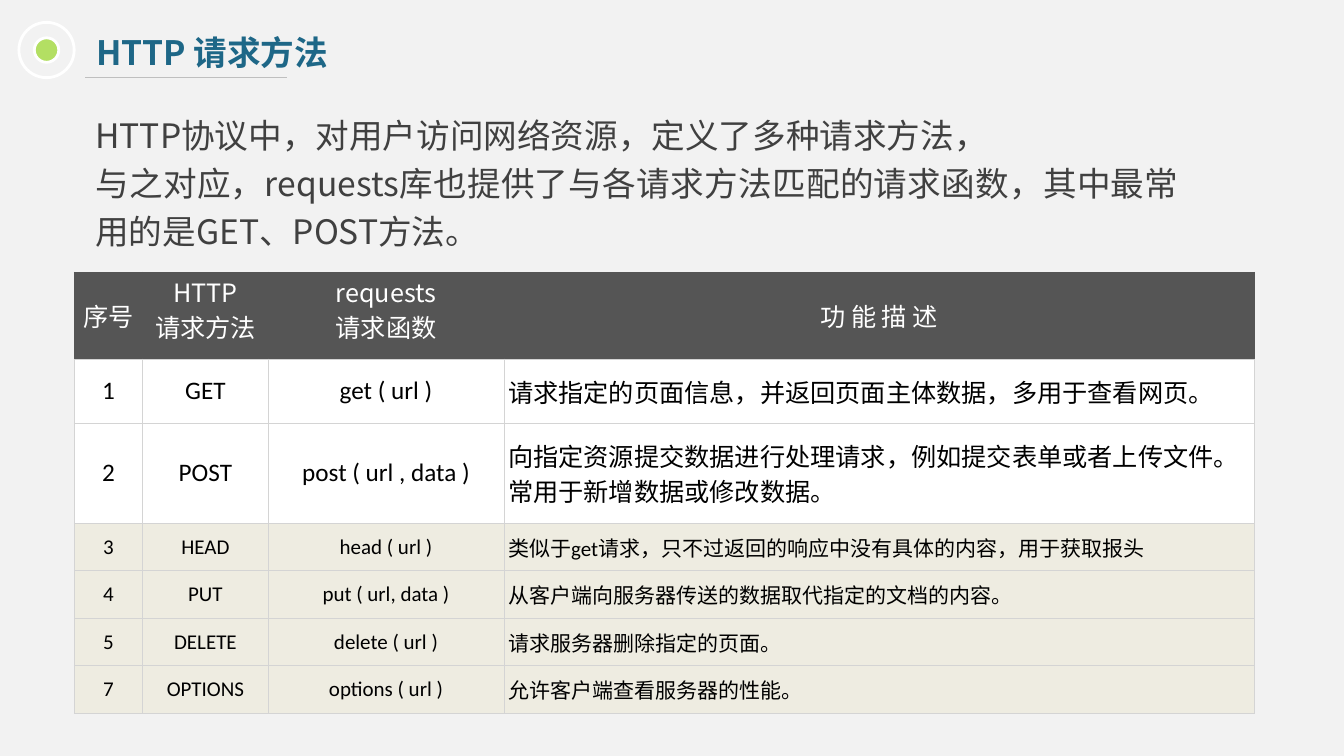
from dataclasses import dataclass

from lxml import etree
from pptx import Presentation
from pptx.dml.color import RGBColor
from pptx.enum.shapes import MSO_CONNECTOR, MSO_SHAPE
from pptx.enum.text import MSO_ANCHOR, MSO_AUTO_SIZE, PP_ALIGN
from pptx.oxml.ns import qn
from pptx.util import Pt

OVAL = MSO_SHAPE.OVAL
STRAIGHT = MSO_CONNECTOR.STRAIGHT
CENTER, LEFT, JUSTIFY = PP_ALIGN.CENTER, PP_ALIGN.LEFT, PP_ALIGN.JUSTIFY
MIDDLE, TOP = MSO_ANCHOR.MIDDLE, MSO_ANCHOR.TOP
GROW = MSO_AUTO_SIZE.SHAPE_TO_FIT_TEXT


@dataclass(frozen=True)
class Theme:
    background: str = "F2F2F2"
    title: str = "1E6787"
    accent: str = "B3DF63"
    white: str = "FFFFFF"
    rule: str = "BFBFBF"
    body: str = "404040"
    header: str = "555555"
    black: str = "000000"
    minor: str = "EEECE1"
    grid: str = "D4D4D4"
    chinese: str = "Noto Sans CJK SC"
    latin: str = "Calibri"
    large: int = 24
    medium: int = 18
    small: int = 15


THEME = Theme()
TITLE = "HTTP 请求方法"
INTRODUCTION = (
    "HTTP协议中，对用户访问网络资源，定义了多种请求方法，\n"
    "与之对应，requests库也提供了与各请求方法匹配的请求函数，其中最常用的是GET、POST方法。"
)
HEADINGS = ("序号", "HTTP\n请求方法", "requests\n请求函数", "功 能 描 述")
METHODS = (
    ("1", "GET", "get ( url )", "请求指定的页面信息，并返回页面主体数据，多用于查看网页。"),
    ("2", "POST", "post ( url , data )",
     "向指定资源提交数据进行处理请求，例如提交表单或者上传文件。\n常用于新增数据或修改数据。"),
    ("3", "HEAD", "head ( url )", "类似于get请求，只不过返回的响应中没有具体的内容，用于获取报头"),
    ("4", "PUT", "put ( url, data )", "从客户端向服务器传送的数据取代指定的文档的内容。"),
    ("5", "DELETE", "delete ( url )", "请求服务器删除指定的页面。"),
    ("7", "OPTIONS", "options ( url )", "允许客户端查看服务器的性能。"),
)
MAIN_METHODS = 2
COLUMN_WIDTHS = (49, 89.5, 168.5, 536)
ROW_HEIGHTS = (62, 46, 71.25) + (34,) * 4


def rgb(color):
    return RGBColor.from_string(color)


def write(frame, text, size, color, font, align=LEFT, spacing=None, bold=False):
    frame.text = text
    for paragraph in frame.paragraphs:
        paragraph.alignment = align
        paragraph.line_spacing = spacing
        for run in paragraph.runs:
            run.font.size = Pt(size)
            run.font.name = font
            run.font.bold = bold
            run.font.color.rgb = rgb(color)
            east_asian = etree.Element(qn("a:ea"), typeface=THEME.chinese)
            run.font._element.find(qn("a:latin")).addnext(east_asian)


def add_text(slide, box, text, color, **style):
    frame = slide.shapes.add_textbox(*map(Pt, box)).text_frame
    frame.word_wrap = True
    frame.auto_size = GROW
    write(frame, text, THEME.large, color, THEME.chinese, **style)


def add_circle(slide, center_x, center_y, diameter, fill=None):
    left, top = center_x - diameter / 2, center_y - diameter / 2
    circle = slide.shapes.add_shape(OVAL, Pt(left), Pt(top), Pt(diameter), Pt(diameter))
    circle.shadow.inherit = False
    if fill:
        circle.fill.solid()
        circle.fill.fore_color.rgb = rgb(fill)
    else:
        circle.fill.background()
    circle.line.color.rgb = rgb(THEME.white)
    circle.line.width = Pt(2)


def add_title(slide, left, top, width, height):
    add_text(slide, (left + 48, top + 3.5, width - 48, 36), TITLE, THEME.title, bold=True)
    center = left + height / 2, top + height / 2
    add_circle(slide, *center, 17.5, THEME.accent)
    add_circle(slide, *center, height)
    rule_left, rule_top = Pt(left + 47.5), Pt(top + height)
    rule = slide.shapes.add_connector(STRAIGHT, rule_left, rule_top, rule_left + Pt(144), rule_top)
    rule.line.color.rgb = rgb(THEME.rule)
    rule.line.width = Pt(0.75)
    etree.SubElement(rule._element.spPr, qn("a:effectLst"))


def add_introduction(slide, box):
    add_text(slide, box, INTRODUCTION, THEME.body, align=JUSTIFY, spacing=1.2)


def set_borders(cell, colors):
    properties = cell._tc.get_or_add_tcPr()
    for index, (side, color) in enumerate(zip(("lnL", "lnR", "lnT", "lnB"), colors)):
        line = etree.Element(qn(f"a:{side}"), w=str(Pt(0.75)))
        fill = etree.SubElement(line, qn("a:solidFill"))
        etree.SubElement(fill, qn("a:srgbClr"), val=color)
        properties.insert(index, line)


def fill_cell(cell, text, row, column):
    heading = row == 0
    main = row <= MAIN_METHODS
    two_lines = "\n" in text
    cell.fill.solid()
    cell.fill.fore_color.rgb = rgb(THEME.header if heading else THEME.white if main else THEME.minor)
    cell.margin_left = cell.margin_right = Pt(2 if heading else 3)
    cell.margin_top = cell.margin_bottom = Pt(2 if heading else 4.25)
    cell.vertical_anchor = TOP if heading and two_lines else MIDDLE
    write(
        cell.text_frame,
        text,
        THEME.medium if main else THEME.small,
        THEME.white if heading else THEME.black,
        THEME.chinese if heading else THEME.latin,
        align=CENTER if heading or column < len(HEADINGS) - 1 else LEFT,
        spacing=Pt(25) if two_lines else None,
    )
    edge = THEME.header if heading else THEME.grid
    set_borders(cell, (edge, edge, edge, THEME.grid))


def add_methods(slide, left, top):
    rows = (HEADINGS,) + METHODS
    box = (left, top, sum(COLUMN_WIDTHS), sum(ROW_HEIGHTS))
    table = slide.shapes.add_table(len(rows), len(HEADINGS), *map(Pt, box)).table
    for column, width in zip(table.columns, COLUMN_WIDTHS):
        column.width = Pt(width)
    for table_row, height in zip(table.rows, ROW_HEIGHTS):
        table_row.height = Pt(height)
    for row, texts in enumerate(rows):
        for column, text in enumerate(texts):
            fill_cell(table.cell(row, column), text, row, column)


def main():
    deck = Presentation()
    deck.slide_width, deck.slide_height = Pt(960), Pt(540)
    slide = deck.slides.add_slide(deck.slide_layouts[6])
    slide.background.fill.solid()
    slide.background.fill.fore_color.rgb = rgb(THEME.background)
    add_title(slide, 13.5, 16, 409, 39.5)
    add_introduction(slide, (61, 72.5, 788, 112.5))
    add_methods(slide, 53, 194.5)
    deck.save("out.pptx")


if __name__ == "__main__":
    main()
